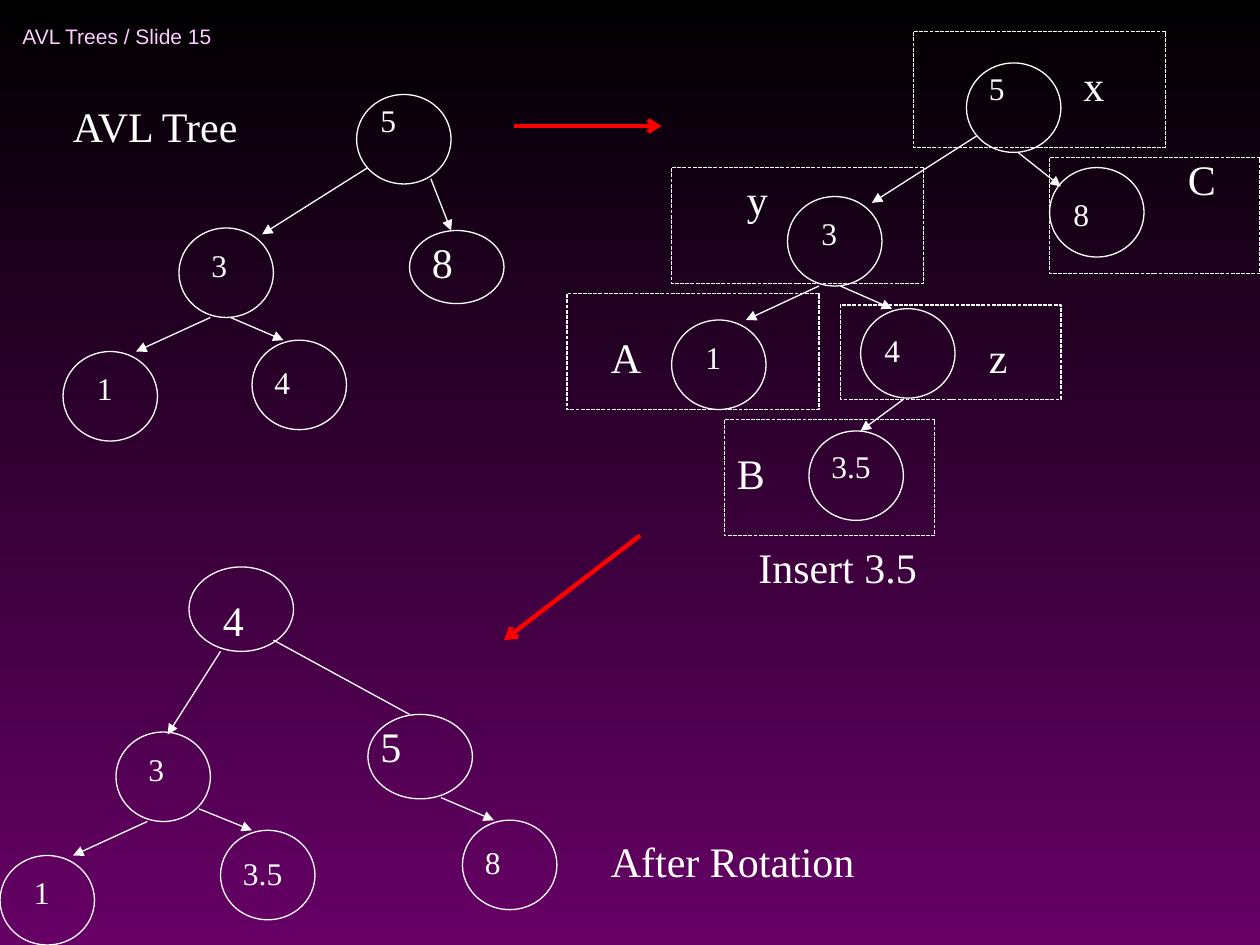
"""Build the AVL tree slide: a tree, an insertion and the rotation after it."""
from dataclasses import dataclass

from lxml.etree import SubElement
from pptx import Presentation
from pptx.dml.color import RGBColor
from pptx.enum.dml import MSO_LINE
from pptx.enum.shapes import MSO_CONNECTOR, MSO_SHAPE
from pptx.enum.text import MSO_ANCHOR
from pptx.oxml.ns import qn
from pptx.util import Inches, Pt

WHITE, RED, PINK = "FFFFFF", "FF0000", "FFCCFF"
THIN, THICK = 0.75, 2.5
SERIF, SANS = "Times New Roman", "Arial"


@dataclass(frozen=True)
class Node:
    label: str
    left: float
    top: float
    label_dx: float = 0.08
    label_dy: float = 0.13
    label_width: float = 1.0
    width: float = 0.75
    height: float = 0.71
    size: int = 18


@dataclass(frozen=True)
class Edge:
    x1: float
    y1: float
    x2: float
    y2: float
    head: str = "triangle"
    color: str = WHITE
    weight: float = THIN


@dataclass(frozen=True)
class Region:
    name: str
    left: float
    top: float
    width: float
    height: float
    name_dx: float
    name_dy: float


@dataclass(frozen=True)
class Caption:
    text: str
    left: float
    top: float
    width: float


NODES = [
    Node("5", 2.83, 0.75, 0.09, 0, 1.33),
    Node("3", 1.42, 1.81, 0.16, 0.09, 1.33),
    Node("1", 0.5, 2.79, 0.17, 0.09, 0.83),
    Node("4", 2, 2.7),
    Node("8", 3.25, 1.83, 0.08, 0, height=0.58, size=24),
    Node("5", 7.67, 0.5, 0.08, 0, 1.33),
    Node("3", 6.25, 1.56, 0.17, 0.09, 1.33),
    Node("1", 5.33, 2.54, 0.17, 0.09, 0.83),
    Node("4", 6.83, 2.45, 0.09),
    Node("8", 8.33, 1.33, 0.09, 0.17, 0.92),
    Node("3.5", 6.42, 3.42, 0.08, 0.08, 1.33),
    Node("4", 1.5, 4.5, 0.17, 0.17, 2.08, 0.83, 0.67, 24),
    Node("5", 2.92, 5.67, 0, 0, 0.83, 0.83, 0.67, 24),
    Node("3", 0.92, 5.81, 0.16, 0.09, 1.33),
    Node("1", 0, 6.79, 0.17, 0.09, 0.83),
    Node("3.5", 1.75, 6.59, 0.08, 0.14),
    Node("8", 3.67, 6.51),
]

EDGES = [
    Edge(2.92, 1.33, 2.08, 1.86),
    Edge(3.42, 1.42, 3.58, 1.83),
    Edge(1.67, 2.52, 1.08, 2.79),
    Edge(1.83, 2.52, 2.25, 2.7),
    Edge(7.75, 1.08, 6.92, 1.61),
    Edge(8.08, 1.21, 8.42, 1.48),
    Edge(6.5, 2.27, 5.92, 2.54),
    Edge(6.67, 2.27, 7.08, 2.45),
    Edge(7.17, 3.17, 6.83, 3.42),
    Edge(1.75, 5.17, 1.33, 5.83),
    Edge(2.17, 5.08, 3.25, 5.67, head=""),
    Edge(1.17, 6.52, 0.58, 6.79),
    Edge(1.58, 6.42, 2, 6.59),
    Edge(3.5, 6.33, 3.92, 6.51),
    Edge(4.08, 1, 5.25, 1, "arrow", RED, THICK),
    Edge(5.08, 4.25, 4, 5.08, "arrow", RED, THICK),
]

REGIONS = [
    Region("x", 7.25, 0.25, 2, 0.92, 1.25, 0.17),
    Region("y", 5.33, 1.33, 2, 0.92, 0.5, 0),
    Region("A", 4.5, 2.33, 2, 0.92, 0.25, 0.25),
    Region("z", 6.67, 2.42, 1.75, 0.75, 1.08, 0.16),
    Region("B", 5.75, 3.33, 1.67, 0.92, 0, 0.17),
    Region("C", 8.33, 1.25, 1.67, 0.92, 1, -0.08),
]

CAPTIONS = [
    Caption("AVL Tree", 0.48, 0.75, 4.02),
    Caption("Insert 3.5", 5.92, 4.25, 4.08),
    Caption("After Rotation", 4.75, 6.58, 2.5),
]


def rgb(color: str) -> RGBColor:
    """Turn a hex string into a colour."""
    return RGBColor.from_string(color)


def add_text(slide, text: str, left: float, top: float, width: float,
             size: int = 24, font: str = SERIF, color: str = WHITE):
    """Add one line of text and return its box."""
    height = 0.4 if size < 24 else 0.5
    box = slide.shapes.add_textbox(Inches(left), Inches(top), Inches(width), Inches(height))
    box.text_frame.word_wrap = True
    para = box.text_frame.paragraphs[0]
    para.text = text
    if font == SERIF:
        para.space_before = Pt(size * 0.625)
    span = para.runs[0]
    span.font.size = Pt(size)
    span.font.name = font
    span.font.color.rgb = rgb(color)
    return box


def add_outline(slide, kind: MSO_SHAPE, left: float, top: float, width: float, height: float):
    """Add an unfilled shape with a thin white line."""
    shape = slide.shapes.add_shape(kind, Inches(left), Inches(top), Inches(width), Inches(height))
    shape.shadow.inherit = False
    shape.fill.background()
    shape.line.color.rgb = rgb(WHITE)
    shape.line.width = Pt(THIN)
    return shape


def add_node(slide, node: Node) -> None:
    """Add a tree node and its key."""
    add_outline(slide, MSO_SHAPE.OVAL, node.left, node.top, node.width, node.height)
    add_text(slide, node.label, node.left + node.label_dx, node.top + node.label_dy,
             node.label_width, node.size)


def add_edge(slide, edge: Edge) -> None:
    """Add a line with an optional arrowhead at its end."""
    line = slide.shapes.add_connector(MSO_CONNECTOR.STRAIGHT, Inches(edge.x1), Inches(edge.y1),
                                      Inches(edge.x2), Inches(edge.y2))
    line.line.color.rgb = rgb(edge.color)
    line.line.width = Pt(edge.weight)
    if edge.head:
        SubElement(line.line._get_or_add_ln(), qn("a:tailEnd"), type=edge.head)
    SubElement(line._element.spPr, qn("a:effectLst"))


def add_region(slide, region: Region) -> None:
    """Add a dashed frame and its name."""
    frame = add_outline(slide, MSO_SHAPE.RECTANGLE, region.left, region.top,
                        region.width, region.height)
    frame.line.dash_style = MSO_LINE.SQUARE_DOT
    add_text(slide, region.name, region.left + region.name_dx, region.top + region.name_dy, 0.67)


def paint_background(slide) -> None:
    """Fill the page from black at the top to purple at the bottom."""
    fill = slide.background.fill
    fill.gradient()
    fill.gradient_angle = 270
    for stop, color, position in zip(fill.gradient_stops, ("000000", "660066"), (0, 1)):
        stop.color.rgb = rgb(color)
        stop.position = position


def main() -> None:
    """Build and save the deck."""
    deck = Presentation()
    deck.slide_width, deck.slide_height = Inches(10), Inches(7.5)
    page = deck.slides.add_slide(deck.slide_layouts[6])
    paint_background(page)
    header = add_text(page, "AVL Trees / Slide 15", 0.08, 0.08, 2.75, 12, SANS, PINK)
    header.height = Inches(0.42)
    header.text_frame.vertical_anchor = MSO_ANCHOR.MIDDLE
    for node in NODES:
        add_node(page, node)
    for region in REGIONS:
        add_region(page, region)
    for edge in EDGES:
        add_edge(page, edge)
    for caption in CAPTIONS:
        add_text(page, caption.text, caption.left, caption.top, caption.width)
    deck.save("out.pptx")


main()
